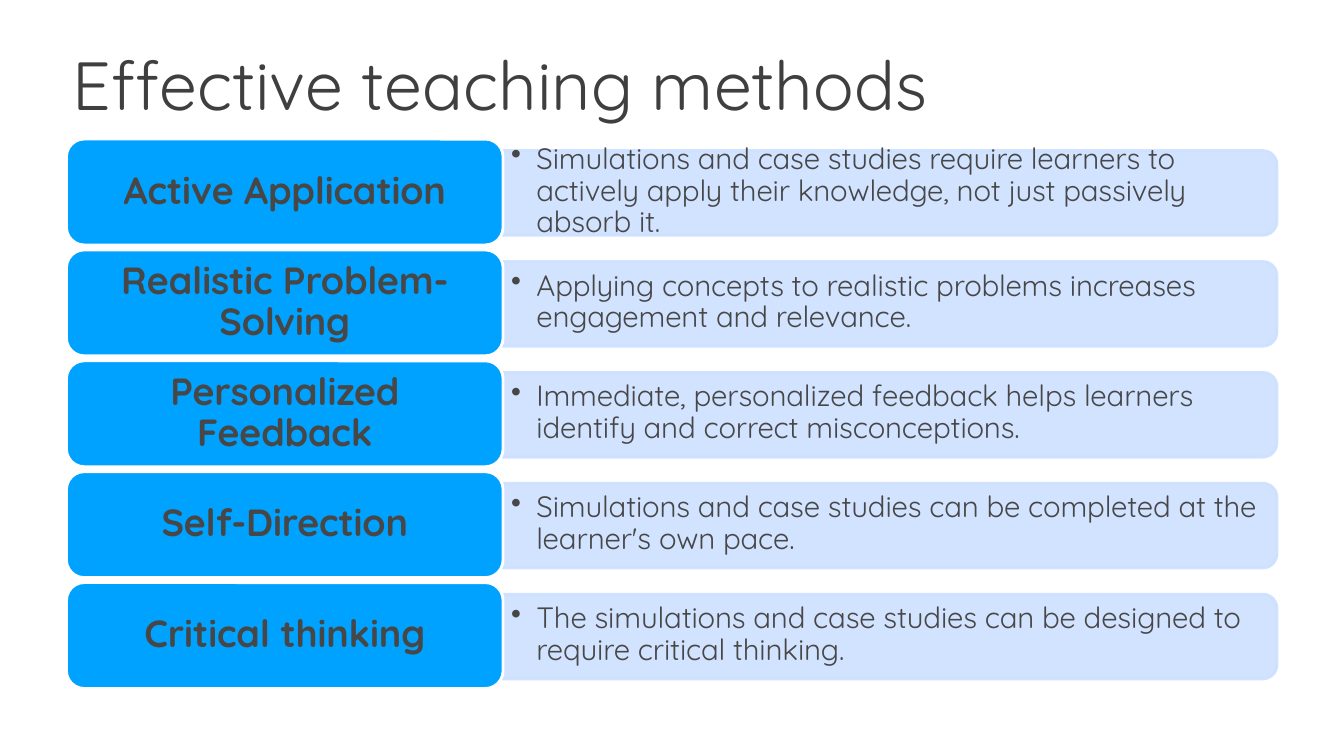
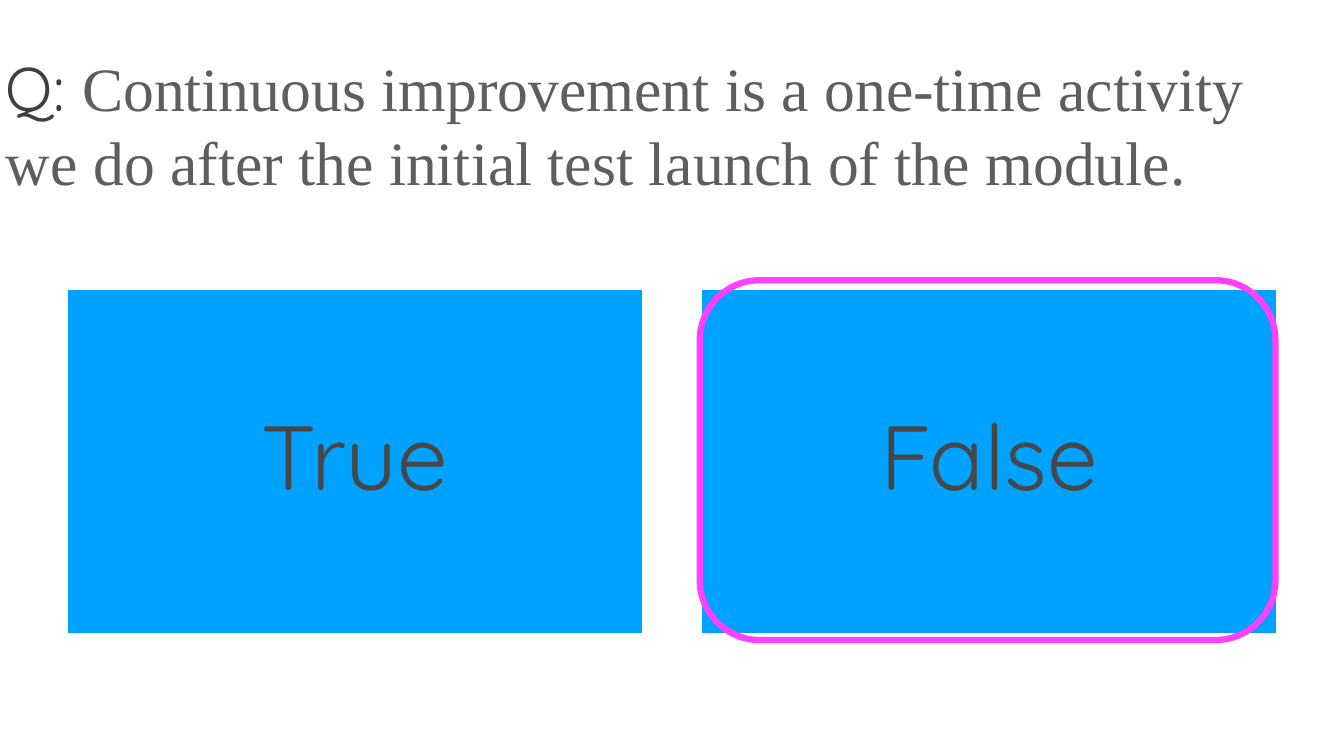
from lxml import etree
from pptx import Presentation
from pptx.dml.color import RGBColor
from pptx.enum.shapes import MSO_SHAPE as SHAPE
from pptx.enum.text import MSO_ANCHOR as ANCHOR, PP_ALIGN as ALIGN
from pptx.oxml.ns import qn
from pptx.util import Pt

PX = 9144  # 100 px to the inch

# Shared look
BLUE, PALE, WHITE, PINK = "00A2FF", "CCE0FF", "FFFFFF", "FF40FF"
TITLE_INK, QUESTION_INK, BODY_INK = "403F3F", "5E5E5E", "484747"
SANS, SERIF = "Quicksand", "Times New Roman"
BODY = {"name": SANS, "color": BODY_INK, "spc": "-10"}
LABEL = {**BODY, "size": Pt(27), "bold": True}
DETAIL = {**BODY, "size": Pt(21)}
ANSWER = {**BODY, "size": Pt(65)}

METHODS = [
    ("Active Application",
     "Simulations and case studies require learners to actively apply their "
     "knowledge, not just passively absorb it."),
    ("Realistic Problem-Solving",
     "Applying concepts to realistic problems increases engagement and relevance."),
    ("Personalized Feedback",
     "Immediate, personalized feedback helps learners identify and correct "
     "misconceptions."),
    ("Self-Direction",
     "Simulations and case studies can be completed at the learner's own pace."),
    ("Critical thinking",
     "The simulations and case studies can be designed to require critical thinking."),
]


def px(*values):
    return [v * PX for v in values]


def rgb(color):
    return RGBColor.from_string(color)


def set_alpha(fill_parent, percent):
    """Make the solid colour directly inside an element partly transparent."""
    clr = fill_parent.find(qn("a:solidFill"))[0]
    etree.SubElement(clr, qn("a:alpha")).set("val", str(percent * 1000))


def set_frame(tf, margin_x, margin_y, anchor):
    mx, my = px(margin_x, margin_y)
    frame = {"word_wrap": True, "vertical_anchor": anchor,
             "margin_left": mx, "margin_right": mx,
             "margin_top": my, "margin_bottom": my}
    for key, value in frame.items():
        setattr(tf, key, value)


def add_run(p, text, fmt):
    r = p.add_run()
    r.text = text
    for key, value in fmt.items():
        if key == "color":
            r.font.color.rgb = rgb(value)
        elif key == "spc":
            r._r.get_or_add_rPr().set("spc", value)
        else:
            setattr(r.font, key, value)


def add_bullet(p, indent):
    pPr = p._p.get_or_add_pPr()
    pPr.set("marL", str(indent * PX))
    pPr.set("indent", str(-indent * PX))
    etree.SubElement(pPr, qn("a:buChar")).set("char", "•")


def add_box(s, kind, box, fill, line, width):
    sp = s.shapes.add_shape(kind, *px(*box))
    sp.shadow.inherit = False
    if fill:
        sp.fill.solid()
        sp.fill.fore_color.rgb = rgb(fill)
    else:
        sp.fill.background()
    sp.line.color.rgb = rgb(line)
    sp.line.width = Pt(width)
    return sp


def add_card(s, kind, box, text, fmt, margins):
    """Blue shape with centred text."""
    tf = add_box(s, kind, box, BLUE, WHITE, 2).text_frame
    set_frame(tf, *margins, ANCHOR.MIDDLE)
    p = tf.paragraphs[0]
    p.alignment = ALIGN.CENTER
    p.line_spacing = 0.9
    add_run(p, text, fmt)


def add_title(s, box, *runs):
    tf = s.shapes.add_textbox(*px(*box)).text_frame
    set_frame(tf, 6, 6, ANCHOR.TOP)
    for text, size, name, color in runs:
        add_run(tf.paragraphs[0], text,
                {"size": Pt(size), "name": name, "color": color})


def add_band(s, left, top, width, height):
    """Pale band rounded on its right end: a top-rounded shape turned by 90°."""
    x = left + (width - height) // 2
    y = top - (width - height) // 2
    sp = add_box(s, SHAPE.ROUND_2_SAME_RECTANGLE, (x, y, height, width), PALE, PALE, 2)
    sp.rotation = 90
    spPr = sp._element.spPr
    set_alpha(spPr, 90)
    set_alpha(spPr.find(qn("a:ln")), 90)


def add_detail(s, box, text):
    tf = s.shapes.add_textbox(*px(*box)).text_frame
    set_frame(tf, 9, 4, ANCHOR.MIDDLE)
    p = tf.paragraphs[0]
    add_bullet(p, 25)
    p.line_spacing = 0.9
    add_run(p, text, DETAIL)


def add_method_row(s, top, label, detail):
    add_band(s, 498, top + 11, 769, 84)
    add_detail(s, (498, top + 14, 765, 76), detail)
    add_card(s, SHAPE.ROUNDED_RECTANGLE, (66, top, 433, 105), label, LABEL, (11, 6))


def build_methods(s):
    add_title(s, (66, 36, 1201, 101),
              ("Effective teaching methods", 48.6, SANS, TITLE_INK))
    for i, (label, detail) in enumerate(METHODS):
        add_method_row(s, 138 + 110 * i, label, detail)


def build_question(s):
    add_title(s, (0, 44, 1267, 93),
              ("Q: ", 44, SANS, TITLE_INK),
              ("Continuous improvement is a one-time activity we do after the "
               "initial test launch of the module.", 44, SERIF, QUESTION_INK))
    for i, answer in enumerate(("True", "False")):
        add_card(s, SHAPE.RECTANGLE, (66 + 629 * i, 286, 572, 343),
                 answer, ANSWER, (27, 27))
    # Ring around the right answer
    add_box(s, SHAPE.ROUNDED_RECTANGLE, (694, 278, 571, 357), None, PINK, 4.5)


def main():
    prs = Presentation()
    prs.slide_width, prs.slide_height = px(1333, 750)
    for build in (build_methods, build_question):
        build(prs.slides.add_slide(prs.slide_layouts[6]))
    prs.save("out.pptx")


if __name__ == "__main__":
    main()
